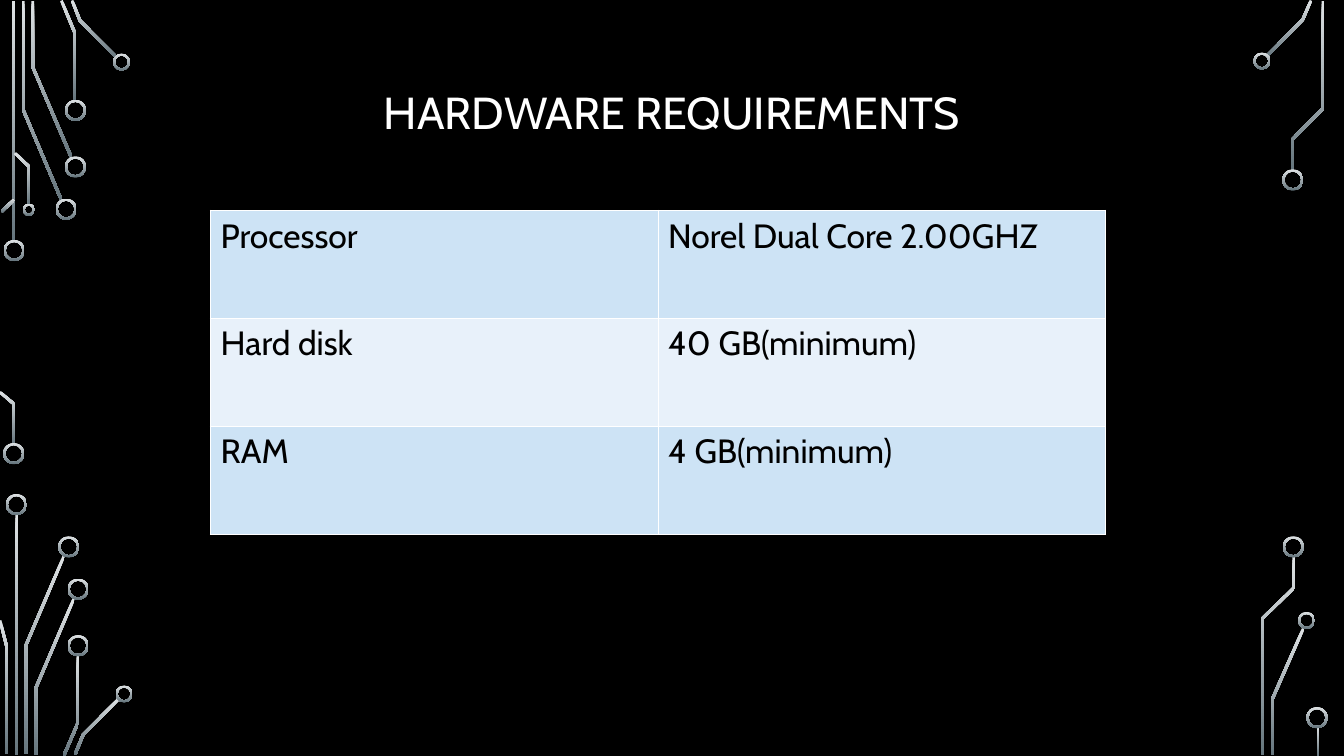
import math
from lxml import etree
from pptx import Presentation
from pptx import util as u
from pptx.dml import color
from pptx.enum import shapes, text
from pptx.oxml import ns

TITLE = "HARDWARE REQUIREMENTS"
REQUIREMENTS = [
    ("Processor", "Norel Dual Core 2.00GHZ"),
    ("Hard disk", "40 GB(minimum)"),
    ("RAM", "4 GB(minimum)"),
]
BAND_FILLS = ["CDE3F5", "E8F1FA"]
CIRCUIT_COLORS = ["DFE3E5", "65757D"]
TRACE_WIDTH, RING_WIDTH = 2, 1.5

# Circuit traces as centre lines, in points
TRACES = [
    # top left
    [(9.7, 0.7), (9.7, 172.8)],
    [(43.9, 143), (16.6, 78.5), (16.6, 0.7)],
    [(51.1, 112.7), (23.4, 47.9), (23.4, 0.7)],
    [(53.6, 72), (53.6, 23.8), (43.9, 0.4)],
    [(83.2, 41), (57.2, 14.8), (51.5, 0.4)],
    [(1.1, 151.2), (10.1, 142.6)],
    [(20.9, 146.2), (20.9, 119.2), (10.8, 109.4)],
    # bottom left
    [(10.1, 317.5), (10.1, 288.7), (0, 280.1)],
    [(11.9, 367.2), (11.9, 539.3)],
    [(18.4, 538.6), (18.4, 461.2), (45.7, 397.1)],
    [(4.7, 538.6), (4.7, 461.5), (0, 443.2)],
    [(25.6, 539.3), (25.6, 491.4), (52.9, 427.3)],
    [(45.7, 539.6), (55.8, 516.2), (55.8, 468)],
    [(53.6, 538.9), (59.4, 524.9), (85, 499)],
    # top right
    [(905, 40), (930.6, 14), (936.4, 0.4)],
    [(923, 121.7), (923, 99.7), (945, 77.4), (945, 0.7)],
    # bottom right
    [(909, 539.3), (909, 499), (931, 448.9)],
    [(901.8, 539.3), (901.8, 441.7), (924.1, 420.1), (924.1, 397.4)],
    [(941.4, 519.1), (941.4, 539.3)],
]
# Ring centres by diameter
RINGS = {
    15.1: [(10.1, 178.9), (9.8, 324), (47.2, 149.4), (53.9, 119.2),
           (53.9, 78.8), (11.7, 360.4), (49.1, 390.6), (55.8, 420.8),
           (55.8, 461.2), (923.4, 128.5), (923.8, 390.6), (940.7, 512.6)],
    12.2: [(86.8, 44.3), (88.7, 495.7), (901.4, 43.6), (933.3, 443.2)],
    8.8: [(20.6, 149.8)],
}


def rgb(hex_color):
    return color.RGBColor.from_string(hex_color)


def format_text(paragraph, size, hex_color):
    for name, value in {"name": "Cabin", "size": u.Pt(size), "bold": False}.items():
        setattr(paragraph.font, name, value)
    paragraph.font.color.rgb = rgb(hex_color)


def paint_circuit(part):
    part.shadow.inherit = False
    part.line.fill.background()
    part.fill.gradient()
    part.fill.gradient_angle = 270
    for stop, hex_color in zip(part.fill.gradient_stops, CIRCUIT_COLORS):
        stop.color.rgb = rgb(hex_color)


def trace_outline(points, width):
    """Offset a centre line to both sides, with mitred corners."""
    normals = []
    for (x1, y1), (x2, y2) in zip(points, points[1:]):
        length = math.hypot(x2 - x1, y2 - y1)
        normals.append(((y1 - y2) / length, (x2 - x1) / length))
    left, right = [], []
    for (x, y), (ax, ay), (bx, by) in zip(points, normals[:1] + normals, normals + normals[-1:]):
        reach = width / 2 / (1 + ax * bx + ay * by)
        dx, dy = (ax + bx) * reach, (ay + by) * reach
        left.append((x + dx, y + dy))
        right.append((x - dx, y - dy))
    return [(u.Pt(x), u.Pt(y)) for x, y in left + right[::-1]]


def add_borders(cell):
    for side in ("lnL", "lnR", "lnT", "lnB"):
        border = etree.SubElement(cell._tc.get_or_add_tcPr(), ns.qn("a:" + side), w=str(u.Pt(1)))
        fill = etree.SubElement(border, ns.qn("a:solidFill"))
        etree.SubElement(fill, ns.qn("a:srgbClr"), val="FFFFFF")


prs = Presentation()
prs.slide_width, prs.slide_height = u.Pt(960), u.Pt(540)
slide = prs.slides.add_slide(prs.slide_layouts[5])
slide.background.fill.solid()
slide.background.fill.fore_color.rgb = rgb("000000")

# Circuit decoration
for points in TRACES:
    start, *rest = trace_outline(points, TRACE_WIDTH)
    builder = slide.shapes.build_freeform(*start)
    builder.add_line_segments(rest, close=True)
    paint_circuit(builder.convert_to_shape())
for diameter, centres in RINGS.items():
    for x, y in centres:
        ring = slide.shapes.add_shape(
            shapes.MSO_SHAPE.DONUT, u.Pt(x - diameter / 2), u.Pt(y - diameter / 2),
            u.Pt(diameter), u.Pt(diameter))
        ring.adjustments[0] = RING_WIDTH / diameter
        paint_circuit(ring)

# Title
title = slide.shapes.title
for name, value in {"left": 90, "top": 23.8, "width": 780, "height": 116.6}.items():
    setattr(title, name, u.Pt(value))
title.text_frame.text = TITLE
title.text_frame.vertical_anchor = text.MSO_ANCHOR.MIDDLE
heading = title.text_frame.paragraphs[0]
heading.alignment = text.PP_ALIGN.CENTER
heading.line_spacing = 0.9
format_text(heading, 32, "FFFFFF")

# Requirements table
requirements = slide.shapes.add_table(
    len(REQUIREMENTS), 2, u.Pt(150.4), u.Pt(150.4), u.Pt(639.4), u.Pt(231.2)).table
requirements.first_row = requirements.horz_banding = False
for r, row in enumerate(REQUIREMENTS):
    for c, entry in enumerate(row):
        cell = requirements.cell(r, c)
        add_borders(cell)
        cell.fill.solid()
        cell.fill.fore_color.rgb = rgb(BAND_FILLS[r % 2])
        cell.text = entry
        format_text(cell.text_frame.paragraphs[0], 24, "000000")

prs.save("out.pptx")
